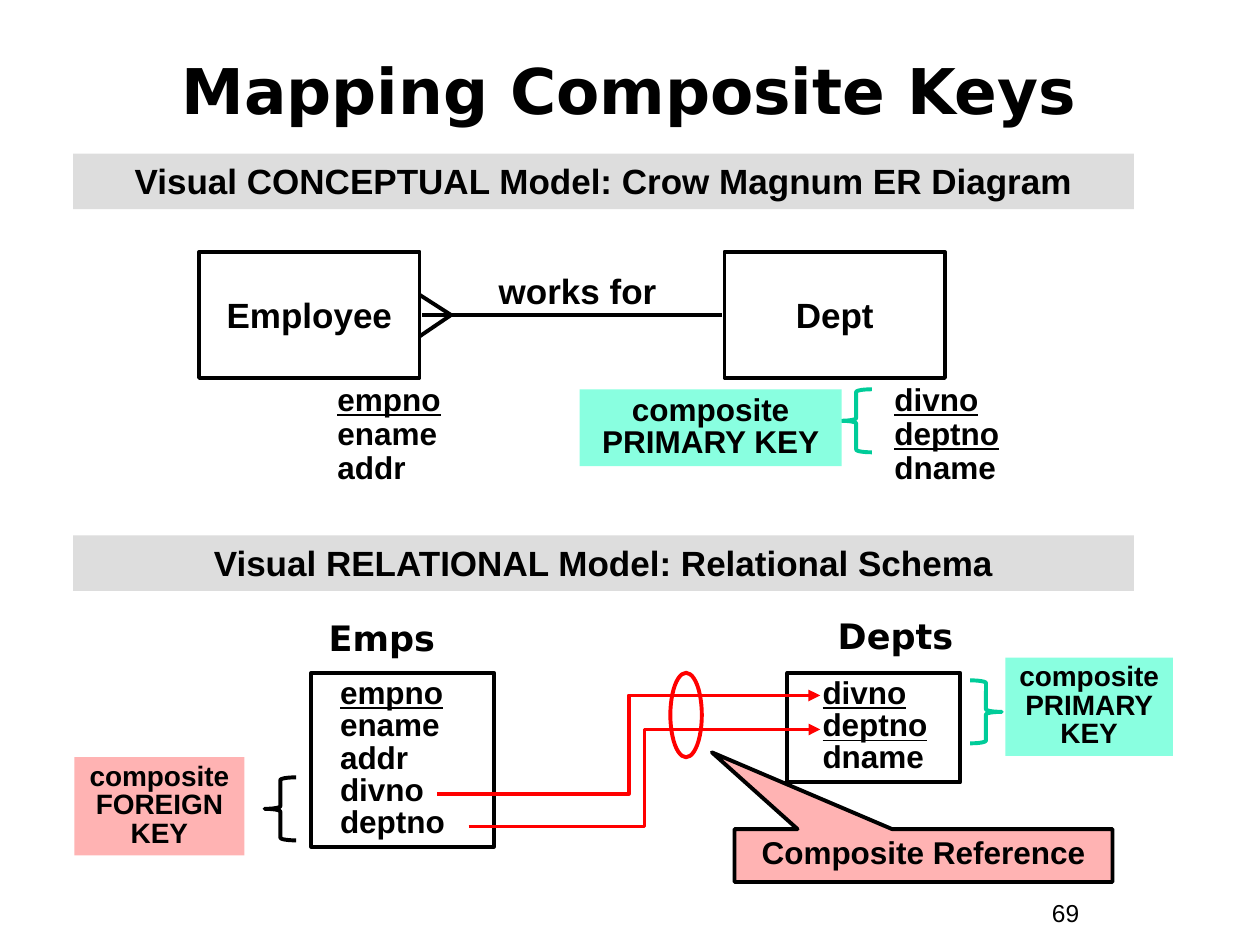
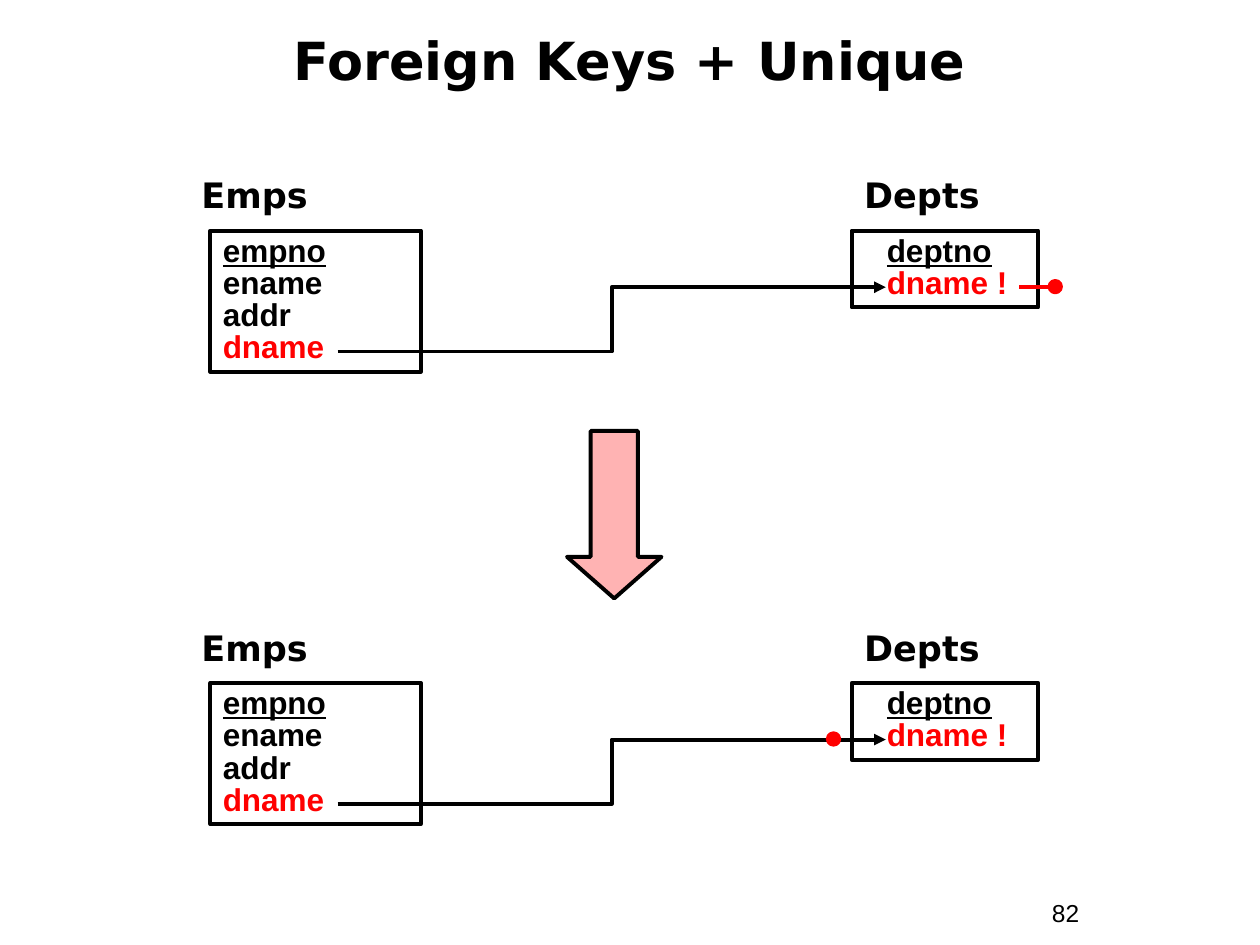
"""Builds two slides on composite and unique foreign keys in database schemas."""
from lxml import etree
from pptx import Presentation
from pptx import util as u
from pptx.dml import color
from pptx.enum import shapes, text
from pptx.oxml import ns


class Theme:
    ink, red, pink = "000000", "FF0000", "FFB3B3"
    gray, mint, teal = "DDDDDD", "89FFE0", "00CC99"
    sans, head = "Arial", "DejaVu Sans"
    big, mid, label, body, small, foot = 36, 30, 20, 18, 16, 14
    stroke = 2.25


kinds = shapes.MSO_SHAPE
ties = shapes.MSO_CONNECTOR
rgb = color.RGBColor.from_string


def put(slide, box, words="", kind=None, fill=None, line=None, size=Theme.label,
        font=Theme.sans, bold=True, center=False, middle=False, wrap=True,
        space=None, indent=0, keys=0, last=Theme.ink, adj=()):
    area = [u.Inches(n) for n in box]
    if kind is None:
        shape = slide.shapes.add_textbox(*area)
    else:
        shape = slide.shapes.add_shape(kind, *area)
        shape.shadow.inherit = False
        if fill:
            shape.fill.solid()
            shape.fill.fore_color.rgb = rgb(fill)
        else:
            shape.fill.background()
        if line:
            shape.line.color.rgb = rgb(line)
            shape.line.width = u.Pt(Theme.stroke)
        else:
            shape.line.fill.background()
        for i, part in enumerate(adj):
            shape.adjustments[i] = part
    if not words:
        return
    frame = shape.text_frame
    frame.word_wrap = wrap
    frame.vertical_anchor = text.MSO_ANCHOR.MIDDLE if middle else text.MSO_ANCHOR.TOP
    rows = words.split("\n")
    for i, row in enumerate(rows):
        para = frame.paragraphs[0] if i == 0 else frame.add_paragraph()
        para.text = row
        para.alignment = text.PP_ALIGN.CENTER if center else text.PP_ALIGN.LEFT
        if space:
            para.line_spacing = space
        if indent:
            para._p.get_or_add_pPr().set("marL", str(u.Inches(indent)))
        for gap in para._p.findall(ns.qn("a:br")):
            etree.SubElement(gap, ns.qn("a:rPr"), sz=str(size * 100))
        for run in para.runs:
            run.font.size = u.Pt(size)
            run.font.name = font
            run.font.bold = bold
            run.font.underline = i < keys
            run.font.color.rgb = rgb(last if i == len(rows) - 1 else Theme.ink)


def link(slide, start, end, ink=Theme.ink, kind=ties.STRAIGHT, arrow=False):
    tie = slide.shapes.add_connector(kind, *[u.Inches(n) for n in start + end])
    tie.line.color.rgb = rgb(ink)
    tie.line.width = u.Pt(Theme.stroke)
    if arrow:
        etree.SubElement(tie.line._get_or_add_ln(), ns.qn("a:tailEnd"), type="triangle")
    etree.SubElement(tie._element.spPr, ns.qn("a:effectLst"))


deck = Presentation()
deck.slide_width, deck.slide_height = u.Inches(10), u.Inches(7.5)
pages = []
for title, box, size, number in (
    ("Mapping Composite Keys", (0.33, 0.33, 9.33, 0.75), Theme.big, "69"),
    ("Foreign Keys + Unique", (0.25, 0.18, 9.5, 0.58), Theme.mid, "82"),
):
    page = deck.slides.add_slide(deck.slide_layouts[6])
    put(page, (8.25, 7.08, 0.92, 0.34), number, size=Theme.foot, bold=False)
    put(page, box, title, size=size, font=Theme.head, center=True, middle=True)
    pages.append(page)
keyed, unique = pages

frame = dict(kind=kinds.RECTANGLE, line=Theme.ink)
table = dict(frame, size=Theme.body, space=0.85)
name = dict(font=Theme.head)
tag = dict(kind=kinds.RECTANGLE, center=True, space=0.85)

for left, entity in ((5.75, "Dept"), (1.58, "Employee")):
    put(keyed, (left, 2, 1.75, 1), entity, center=True, middle=True, wrap=False, **frame)
link(keyed, (5.73, 2.5), (3.35, 2.5))
for toe in (2.34, 2.67):
    link(keyed, (3.58, 2.5), (3.33, toe))
put(keyed, (3.75, 2.09, 1.67, 0.44), "works for", center=True)
for left, width, fields in (
    (7, 1.67, "divno\vdeptno\ndname"),
    (2.58, 1.17, "empno\nename\naddr"),
):
    put(keyed, (left, 3, width, 0.91), fields, size=Theme.body, space=0.9, keys=1)

for top, model in (
    (1.22, "Visual CONCEPTUAL Model: Crow Magnum ER Diagram"),
    (4.25, "Visual RELATIONAL Model: Relational Schema"),
):
    put(keyed, (0.58, top, 8.42, 0.44), model, kind=kinds.RECTANGLE,
        fill=Theme.gray, center=True)

put(keyed, (2.51, 4.84, 2.15, 0.44), "Emps", **name)
put(keyed, (6.55, 4.83, 1.32, 0.44), "Depts", **name)
put(keyed, (2.47, 5.34, 1.45, 1.38), "empno\nename\naddr\ndivno\vdeptno",
    indent=0.13, keys=1, **table)
put(keyed, (6.25, 5.34, 1.37, 0.87), "divno\vdeptno\ndname",
    indent=0.18, keys=1, **table)
for start, end in (((3.47, 6.3), (6.51, 5.52)), ((3.72, 6.56), (6.51, 5.79))):
    link(keyed, start, end, Theme.red, ties.ELBOW, arrow=True)
put(keyed, (5.32, 5.34, 0.25, 0.67), kind=kinds.OVAL, line=Theme.red)
put(keyed, (5.83, 6.58, 3, 0.42), "Composite Reference",
    kind=kinds.RECTANGULAR_CALLOUT, fill=Theme.pink, line=Theme.ink,
    size=Theme.body, center=True, middle=True, space=0.8, adj=(-0.56, -1.95))

for left, top, brace, ink in (
    (6.67, 3.09, kinds.LEFT_BRACE, Theme.teal),
    (7.7, 5.4, kinds.RIGHT_BRACE, Theme.teal),
    (2.1, 6.17, kinds.LEFT_BRACE, Theme.ink),
):
    put(keyed, (left, top, 0.25, 0.5), kind=brace, line=ink)
for box, words, fill, size in (
    ((4.6, 3.09, 2.08, 0.61), "composite\vPRIMARY KEY", Theme.mint, Theme.body),
    ((7.98, 5.22, 1.33, 0.78), "composite\vPRIMARY\vKEY", Theme.mint, Theme.small),
    ((0.59, 6.01, 1.35, 0.78), "composite\vFOREIGN KEY", Theme.pink, Theme.small),
):
    put(keyed, box, words, fill=fill, size=size, **tag)

for top, dot in ((1.33, 8.33), (4.92, 6.57)):
    for left, label in ((1.5, "Emps"), (6.76, "Depts")):
        put(unique, (left, top, 2.15, 0.44), label, **name)
    put(unique, (1.67, top + 0.5, 1.67, 1.12), "empno\nename\naddr\ndname",
        keys=1, last=Theme.red, **table)
    put(unique, (6.76, top + 0.5, 1.48, 0.61), "deptno\ndname !",
        indent=0.18, keys=1, last=Theme.red, **table)
    link(unique, (2.68, top + 1.46), (7.03, top + 0.95), kind=ties.ELBOW, arrow=True)
    put(unique, (dot, top + 0.9, 0.09, 0.09), kind=kinds.OVAL,
        fill=Theme.red, line=Theme.red)
link(unique, (8.34, 2.28), (8.09, 2.28), Theme.red)
put(unique, (4.5, 3.42, 0.75, 1.33), kind=kinds.DOWN_ARROW,
    fill=Theme.pink, line=Theme.ink, adj=(0.5, 0.44))

deck.save("out.pptx")
